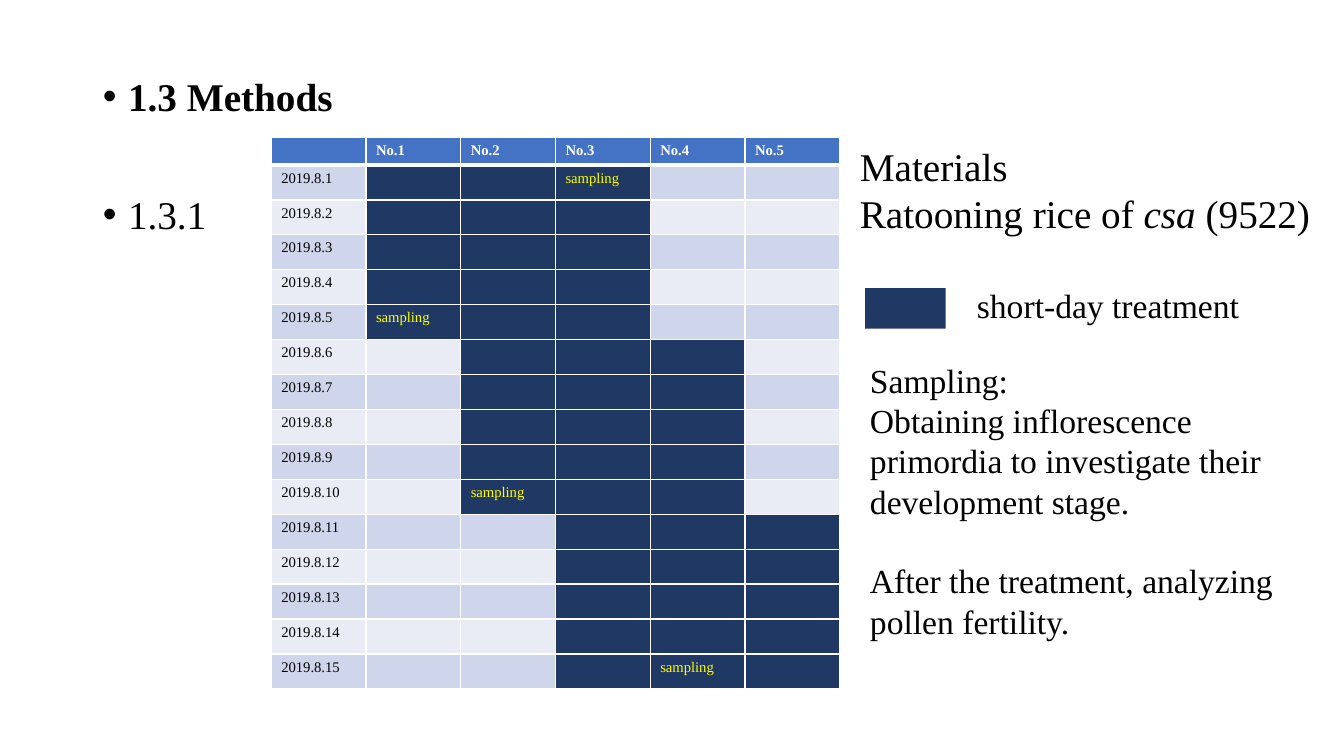
from dataclasses import dataclass
from typing import Optional

from lxml.etree import SubElement
from pptx import Presentation
from pptx.dml.color import RGBColor
from pptx.enum.shapes import MSO_SHAPE as Shape
from pptx.enum.text import MSO_AUTO_SIZE as AutoSize
from pptx.oxml.ns import qn
from pptx.util import Inches, Pt

FONT = "Times New Roman"
COLORS = {
    "text": "000000",
    "header": "4472C4",
    "odd": "CFD5EA",
    "even": "E9EBF5",
    "treated": "203864",
    "sampling": "FFFF00",
    "white": "FFFFFF",
}
DAYS = 15
TABLE_HEIGHT, HEADER_HEIGHT = 5.47, 0.27
DAY_HEIGHT = (TABLE_HEIGHT - HEADER_HEIGHT) / DAYS
COLUMN_WIDTH = 0.94


@dataclass
class Group:
    name: str
    first: int
    last: int
    sampling: Optional[int] = None


@dataclass
class Run:
    text: str
    italic: bool = False
    bold: bool = False


@dataclass
class Para:
    runs: list[Run]
    gap: float = 0


@dataclass
class Note:
    box: tuple[float, float, float, float]
    size: float
    paras: list[Para]
    wrap: bool = False


GROUPS = [
    Group("No.1", 1, 5, 5),
    Group("No.2", 1, 10, 10),
    Group("No.3", 1, 15, 1),
    Group("No.4", 6, 15, 15),
    Group("No.5", 11, 15),
]
HEADINGS = [Para([Run("1.3 Methods", bold=True)], 10), Para([Run("1.3.1")], 54)]
NOTES = [
    Note((8.43, 1.36, 4.71, 1.85), 28, [
        Para([Run("Materials")]),
        Para([Run("Ratooning rice of "), Run("csa", italic=True), Run(" (9522)")]),
    ]),
    Note((9.59, 2.78, 2.82, 0.5), 24, [Para([Run("short-day treatment")])]),
    Note((8.53, 3.52, 4.75, 2.93), 24, [
        Para([Run("Sampling:")]),
        Para([Run("Obtaining inflorescence primordia to investigate "
                  "their development stage.")]),
        Para([Run("After the treatment, analyzing")], 28),
        Para([Run("pollen fertility.")]),
    ], wrap=True),
]


def rgb(name: str) -> RGBColor:
    return RGBColor.from_string(COLORS[name])


def add_run(p, text: str, color: str, **fmt) -> None:
    r = p.add_run()
    r.text = text
    r.font.color.rgb = rgb(color)
    for key, value in {"name": FONT, **fmt}.items():
        setattr(r.font, key, value)


def write_paras(tf, paras: list[Para], size: float) -> None:
    for i, para in enumerate(paras):
        p = tf.add_paragraph() if i else tf.paragraphs[0]
        p.space_before = Pt(para.gap)
        for run in para.runs:
            add_run(p, run.text, "text", size=Pt(size), bold=run.bold, italic=run.italic)


def add_headings(sp) -> None:
    sp.left, sp.top, sp.width, sp.height = map(Inches, (0.92, 0.72, 12.22, 6.03))
    tf = sp.text_frame
    tf.auto_size = AutoSize.NONE
    write_paras(tf, HEADINGS, 28)
    for p in tf.paragraphs:
        p.line_spacing = 0.9
        pPr = p._p.get_or_add_pPr()
        pPr.set("marL", str(Inches(0.25)))
        pPr.set("indent", str(-Inches(0.25)))


def add_note(slide, note: Note) -> None:
    tf = slide.shapes.add_textbox(*map(Inches, note.box)).text_frame
    tf.word_wrap = note.wrap
    write_paras(tf, note.paras, note.size)


def set_borders(cell, bottom: float) -> None:
    tcPr = cell._tc.get_or_add_tcPr()
    widths = {"lnL": 1, "lnR": 1, "lnT": 1, "lnB": bottom}
    for i, (side, width) in enumerate(widths.items()):
        ln = SubElement(tcPr, qn(f"a:{side}"), w=str(Pt(width)))
        fill = SubElement(ln, qn("a:solidFill"))
        SubElement(fill, qn("a:srgbClr"), val=COLORS["white"])
        tcPr.insert(i, ln)


def fill_cell(cell, text: str, fill: str, color: str, header: bool = False) -> None:
    cell.fill.solid()
    cell.fill.fore_color.rgb = rgb(fill)
    set_borders(cell, 3 if header else 1)
    p = cell.text_frame.paragraphs[0]
    if text:
        add_run(p, text, color, size=Pt(10.5), bold=header)
    else:
        SubElement(p._p, qn("a:endParaRPr"), sz="1050")


def add_schedule(slide) -> None:
    cols = len(GROUPS) + 1
    table = slide.shapes.add_table(
        DAYS + 1, cols, Inches(2.69), Inches(1.36),
        Inches(COLUMN_WIDTH * cols), Inches(TABLE_HEIGHT)).table
    for column in table.columns:
        column.width = Inches(COLUMN_WIDTH)
    for i, row in enumerate(table.rows):
        row.height = Inches(DAY_HEIGHT if i else HEADER_HEIGHT)

    for col, name in enumerate([""] + [group.name for group in GROUPS]):
        fill_cell(table.cell(0, col), name, "header", "white", header=True)
    for day in range(1, DAYS + 1):
        band = "odd" if day % 2 else "even"
        fill_cell(table.cell(day, 0), f"2019.8.{day}", band, "text")
        for col, group in enumerate(GROUPS, 1):
            treated = group.first <= day <= group.last
            text = "sampling" if day == group.sampling else ""
            fill_cell(table.cell(day, col), text, "treated" if treated else band, "sampling")


def add_legend_key(slide) -> None:
    sp = slide.shapes.add_shape(Shape.RECTANGLE, *map(Inches, (8.58, 2.86, 0.8, 0.4)))
    sp.shadow.inherit = False
    sp.fill.solid()
    sp.fill.fore_color.rgb = rgb("treated")
    sp.line.fill.background()


prs = Presentation()
prs.slide_width, prs.slide_height = Inches(13.33), Inches(7.5)
slide = prs.slides.add_slide(prs.slide_layouts[1])
title = slide.shapes.title
title._element.getparent().remove(title._element)
add_headings(slide.placeholders[1])
add_schedule(slide)
add_legend_key(slide)
for note in NOTES:
    add_note(slide, note)
prs.save("out.pptx")
